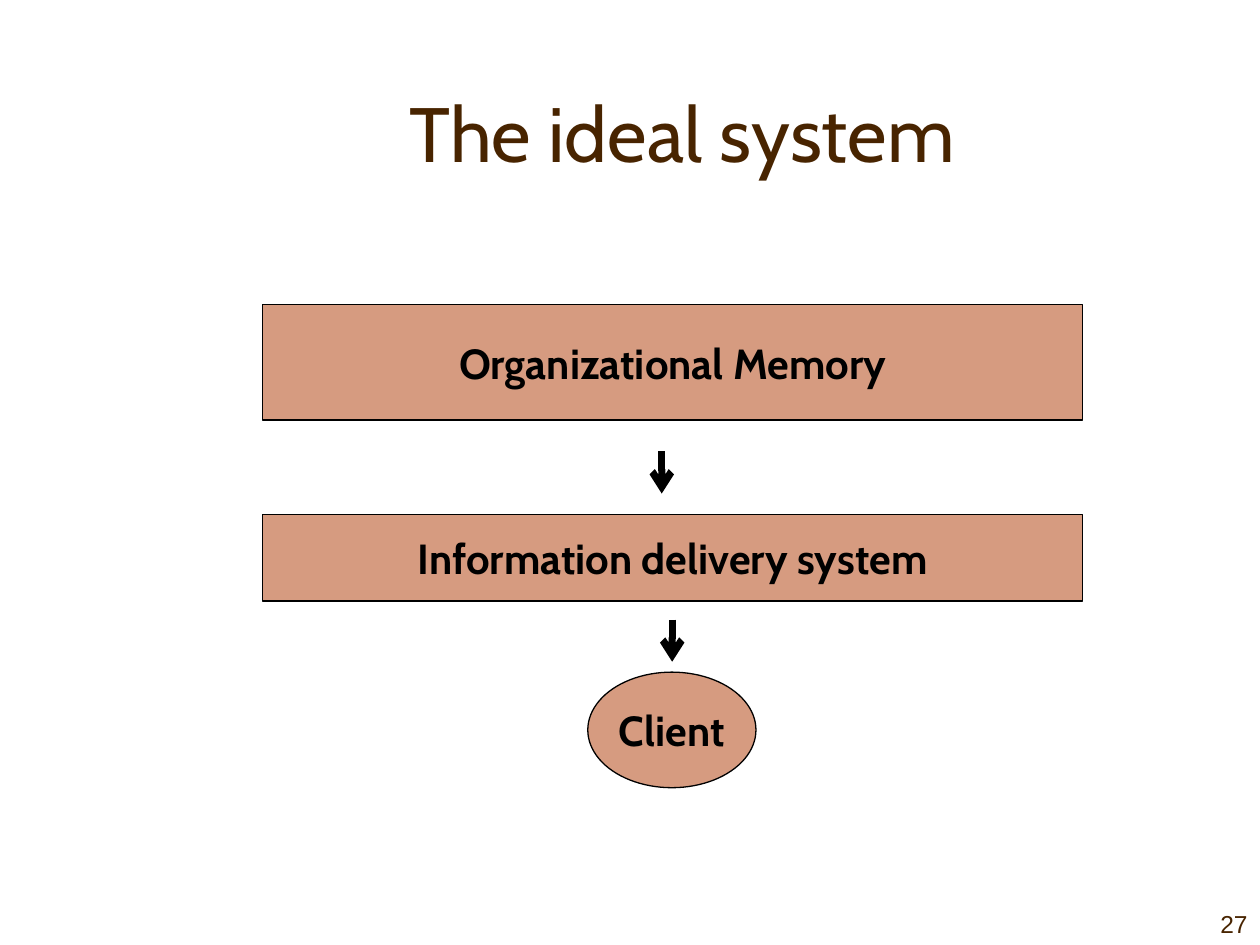
from dataclasses import dataclass

from lxml.etree import SubElement
from pptx import Presentation
from pptx.dml.color import RGBColor as Rgb
from pptx.enum.shapes import MSO_CONNECTOR as Link, MSO_SHAPE as Form
from pptx.enum.text import MSO_ANCHOR as Anchor, PP_ALIGN as Align
from pptx.oxml.ns import qn
from pptx.util import Cm, Pt


@dataclass(frozen=True)
class Theme:
    brown: Rgb = Rgb(0x48, 0x24, 0x00)
    clay: Rgb = Rgb(0xD6, 0x9B, 0x80)
    black: Rgb = Rgb(0, 0, 0)
    face: str = "Cabin"
    plain: str = "Arial"
    title: int = 44
    label: int = 24
    number: int = 14
    edge: float = 0.75
    arrow: int = 4


THEME = Theme()


def put_text(shape, text, size, color, face=THEME.face, bold=False,
             align=Align.CENTER, anchor=Anchor.MIDDLE, wrap=True):
    frame = shape.text_frame
    frame.word_wrap = wrap
    frame.vertical_anchor = anchor
    frame.text = text
    para = frame.paragraphs[0]
    para.alignment = align
    font = para.runs[0].font
    font.name, font.size, font.bold = face, Pt(size), bold
    font.color.rgb = color


def add_text(slide, box, text, size, **style):
    shape = slide.shapes.add_textbox(*map(Cm, box))
    put_text(shape, text, size, THEME.brown, **style)


def add_node(slide, form, box, text):
    node = slide.shapes.add_shape(form, *map(Cm, box))
    node.shadow.inherit = False
    node.fill.solid()
    node.fill.fore_color.rgb = THEME.clay
    node.line.color.rgb = THEME.black
    node.line.width = Pt(THEME.edge)
    put_text(node, text, THEME.label, THEME.black, bold=True, wrap=False)


def add_arrow(slide, x, top, end):
    """Draw a short arrow straight down."""
    arrow = slide.shapes.add_connector(
        Link.STRAIGHT, Cm(x), Cm(top), Cm(x), Cm(end))
    arrow.line.color.rgb = THEME.black
    arrow.line.width = Pt(THEME.arrow)
    SubElement(arrow.line._get_or_add_ln(), qn("a:tailEnd"), type="arrow")
    SubElement(arrow._element.spPr, qn("a:effectLst"))


def main():
    deck = Presentation()
    deck.slide_width, deck.slide_height = Cm(25.4), Cm(19.05)
    slide = deck.slides.add_slide(deck.slide_layouts[6])

    add_text(slide, (2.96, 1.06, 21.59, 3.18), "The ideal system", THEME.title)

    left, width = 5.29, 16.54
    add_node(slide, Form.RECTANGLE, (left, 6.14, width, 2.33),
             "Organizational Memory")
    add_arrow(slide, 13.34, 9.1, 9.95)
    add_node(slide, Form.RECTANGLE, (left, 10.37, width, 1.75),
             "Information delivery system")
    add_arrow(slide, 13.55, 12.49, 13.34)
    add_node(slide, Form.OVAL, (11.85, 13.55, 3.39, 2.33), "Client")

    add_text(slide, (22.86, 17.78, 2.54, 1.27), "27", THEME.number,
             face=THEME.plain, align=Align.RIGHT, anchor=Anchor.BOTTOM)
    deck.save("out.pptx")


if __name__ == "__main__":
    main()
